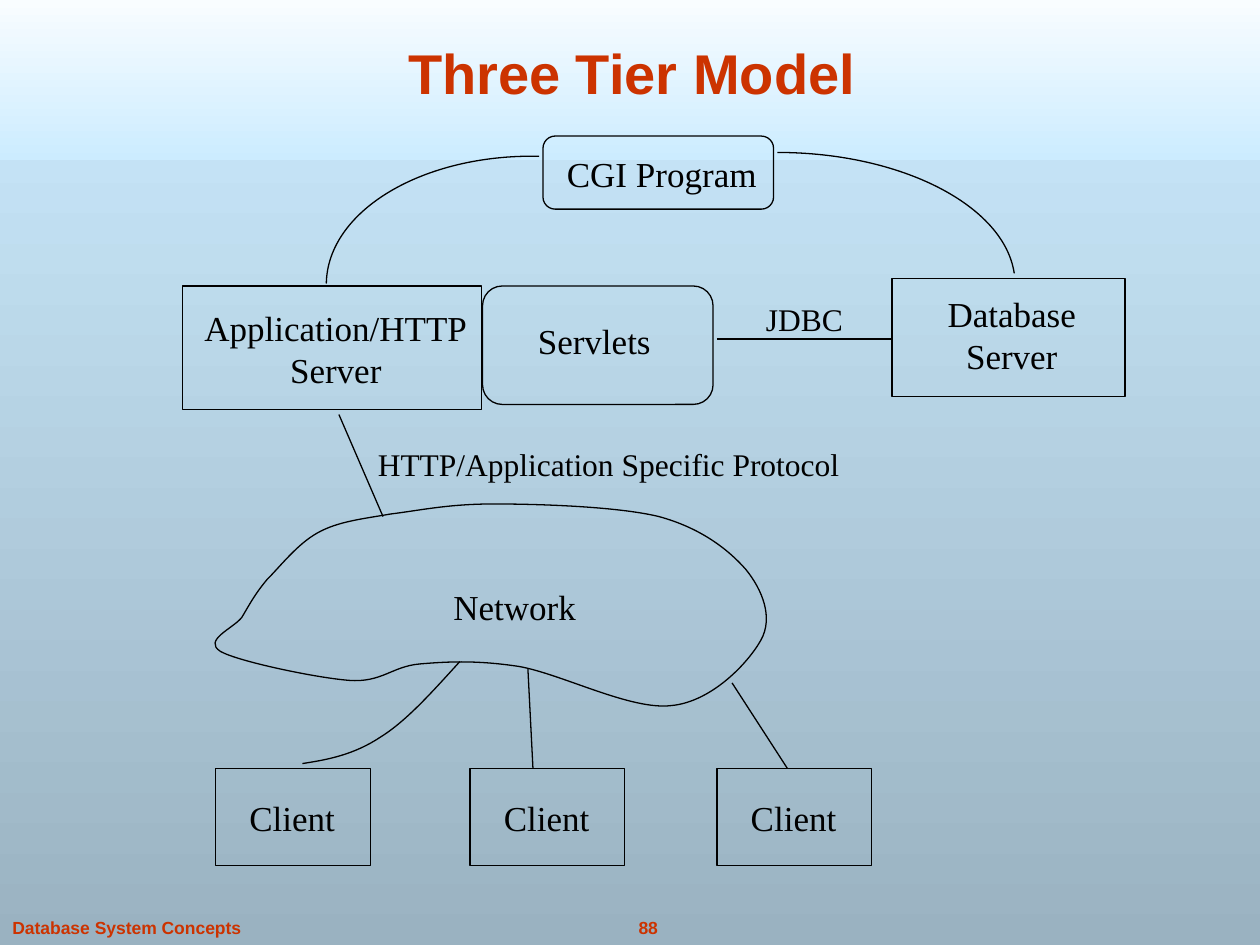
from dataclasses import dataclass

from lxml.etree import SubElement
from pptx import Presentation
from pptx.dml.color import RGBColor
from pptx.enum.shapes import MSO_CONNECTOR, MSO_SHAPE
from pptx.enum.text import MSO_ANCHOR, MSO_AUTO_SIZE, PP_ALIGN
from pptx.oxml.ns import qn
from pptx.util import Inches, Pt


@dataclass(frozen=True)
class Theme:
    ink: str = "000000"
    accent: str = "CC3300"
    white: str = "FFFFFF"
    sky: str = "CCECFF"
    slate: str = "9AB2C1"
    serif: str = "Times New Roman"
    sans: str = "Arial"
    title: int = 32
    body: int = 20
    note: int = 18
    foot: int = 10
    line: float = 0.75


THEME = Theme()

CLOUD = [
    (1.75, 5.17),
    (1.61, 5.08), (1.85, 4.99), (1.92, 4.9),
    (1.98, 4.8), (2.02, 4.72), (2.12, 4.6),
    (2.23, 4.49), (2.36, 4.32), (2.52, 4.23),
    (2.68, 4.14), (2.87, 4.12), (3.1, 4.08),
    (3.34, 4.05), (3.56, 4), (3.92, 4),
    (4.27, 4), (4.9, 4.02), (5.23, 4.1),
    (5.56, 4.19), (5.78, 4.36), (5.92, 4.52),
    (6.05, 4.68), (6.14, 4.9), (6.04, 5.08),
    (5.94, 5.26), (5.65, 5.57), (5.33, 5.6),
    (5.01, 5.64), (4.46, 5.35), (4.12, 5.29),
    (3.79, 5.24), (3.56, 5.25), (3.33, 5.27),
    (3.11, 5.29), (3.03, 5.42), (2.77, 5.4),
    (2.51, 5.38), (1.89, 5.25), (1.75, 5.17),
]
CLIENT_WIRE = [
    (3.65, 5.25),
    (3.44, 5.48), (3.23, 5.72), (3.02, 5.85),
    (2.81, 5.99), (2.6, 6.03), (2.4, 6.06),
]
LEFT_ARC = [(4.28, 1.24), (3.36, 1.22), (2.6, 1.67), (2.59, 2.25)]
RIGHT_ARC = [(6.17, 1.21), (7.15, 1.21), (7.97, 1.63), (8.05, 2.17)]


def color(code):
    return RGBColor.from_string(code)


def fade(fill, top, bottom):
    fill.gradient()
    fill.gradient_angle = 270
    for stop, code in zip(fill.gradient_stops, (top, bottom)):
        stop.color.rgb = color(code)


def ink_line(shape):
    shape.line.color.rgb = color(THEME.ink)
    shape.line.width = Pt(THEME.line)


def add_band(slide):
    band = slide.shapes.add_shape(
        MSO_SHAPE.RECTANGLE, Inches(0), Inches(-0.17), Inches(10), Inches(1.44))
    band.shadow.inherit = False
    fade(band.fill, THEME.white, THEME.sky)
    band.line.fill.background()


def add_box(slide, left, top, width, height, kind=MSO_SHAPE.RECTANGLE):
    box = slide.shapes.add_shape(
        kind, Inches(left), Inches(top), Inches(width), Inches(height))
    box.shadow.inherit = False
    box.fill.background()
    ink_line(box)


def add_text(slide, text, left, top, width, height, size=THEME.body,
             font=THEME.serif, tint=THEME.ink, bold=False,
             align=PP_ALIGN.LEFT, anchor=MSO_ANCHOR.TOP, wrap=False):
    box = slide.shapes.add_textbox(
        Inches(left), Inches(top), Inches(width), Inches(height))
    frame = box.text_frame
    frame.word_wrap = wrap
    frame.auto_size = MSO_AUTO_SIZE.NONE if wrap else MSO_AUTO_SIZE.SHAPE_TO_FIT_TEXT
    frame.vertical_anchor = anchor
    frame.text = text
    for para in frame.paragraphs:
        para.alignment = align
        para.font.size = Pt(size)
        para.font.name = font
        para.font.bold = bold
        para.font.color.rgb = color(tint)


def add_line(slide, start, end):
    line = slide.shapes.add_connector(
        MSO_CONNECTOR.STRAIGHT, *(Inches(v) for v in (*start, *end)))
    ink_line(line)
    SubElement(line._element.spPr, qn("a:effectLst"))


def bend(route):
    legs = route.findall(qn("a:lnTo"))
    for first, *rest in zip(legs[::3], legs[1::3], legs[2::3]):
        first.tag = qn("a:cubicBezTo")
        for leg in rest:
            first.append(leg[0])
            route.remove(leg)


def reframe(curve, route, left, top, width, height):
    for point in route.iter(qn("a:pt")):
        point.set("x", str(int(point.get("x")) + curve.left - left))
        point.set("y", str(int(point.get("y")) + curve.top - top))
    route.set("w", str(width))
    route.set("h", str(height))
    curve.left, curve.top, curve.width, curve.height = left, top, width, height


def add_curve(slide, points, close=False, frame=None):
    start, *rest = [(Inches(x), Inches(y)) for x, y in points]
    pen = slide.shapes.build_freeform(*start)
    pen.add_line_segments(rest, close=close)
    curve = pen.convert_to_shape()
    route = next(curve._element.iter(qn("a:path")))
    bend(route)
    if frame:
        reframe(curve, route, *(Inches(v) for v in frame))
    curve.shadow.inherit = False
    curve.fill.background()
    ink_line(curve)


def add_frame(slide):
    fade(slide.background.fill, THEME.sky, THEME.slate)
    add_band(slide)
    style = dict(font=THEME.sans, tint=THEME.accent, bold=True)
    add_text(slide, "88", 4.71, 7.23, 0.87, 0.27, size=THEME.foot,
             align=PP_ALIGN.CENTER, **style)
    add_text(slide, "Database System Concepts", 0, 7.23, 2.04, 0.27,
             size=THEME.foot, **style)
    add_text(slide, "Three Tier Model", 0.6, 0.22, 8.83, 0.67, size=THEME.title,
             align=PP_ALIGN.CENTER, anchor=MSO_ANCHOR.BOTTOM, wrap=True, **style)


def add_tiers(slide):
    curved = MSO_SHAPE.ROUNDED_RECTANGLE
    add_box(slide, 4.31, 1.08, 1.83, 0.58, curved)
    add_text(slide, "CGI Program", 4.4, 1.16, 1.72, 0.44)
    add_box(slide, 7.08, 2.21, 1.85, 0.94)
    add_text(slide, "Database\nServer", 7.42, 2.27, 1.22, 0.77, align=PP_ALIGN.CENTER)
    add_box(slide, 1.45, 2.27, 2.37, 0.98)
    add_text(slide, "Application/HTTP\nServer", 1.52, 2.38, 2.29, 0.77,
             align=PP_ALIGN.CENTER)
    add_box(slide, 3.83, 2.27, 1.83, 0.94, curved)
    add_text(slide, "Servlets", 4.17, 2.49, 1.12, 0.44)
    add_text(slide, "JDBC", 5.98, 2.33, 0.82, 0.4, size=THEME.note)
    add_curve(slide, CLOUD, close=True)
    add_text(slide, "Network", 3.5, 4.6, 1.2, 0.44)
    for left in (1.71, 3.73, 5.69):
        add_box(slide, left, 6.1, 1.23, 0.77)
        add_text(slide, "Client", left + 0.17, 6.27, 0.89, 0.44)
    add_text(slide, "HTTP/Application Specific Protocol", 2.9, 3.48, 3.89, 0.4,
             size=THEME.note)


def add_wires(slide):
    for start, end in (
        ((5.69, 2.69), (7.08, 2.69)),
        ((4.19, 5.31), (4.23, 6.1)),
        ((5.81, 5.42), (6.25, 6.1)),
        ((2.69, 3.29), (3.04, 4.1)),
    ):
        add_line(slide, start, end)
    add_curve(slide, CLIENT_WIRE)
    add_curve(slide, LEFT_ARC, frame=(2.59, 1.24, 3.33, 2.09))
    add_curve(slide, RIGHT_ARC, frame=(4.29, 1.21, 3.77, 2.09))


def main():
    deck = Presentation()
    deck.slide_width, deck.slide_height = Inches(10), Inches(7.5)
    slide = deck.slides.add_slide(deck.slide_layouts[6])
    add_frame(slide)
    add_tiers(slide)
    add_wires(slide)
    deck.save("out.pptx")


if __name__ == "__main__":
    main()
